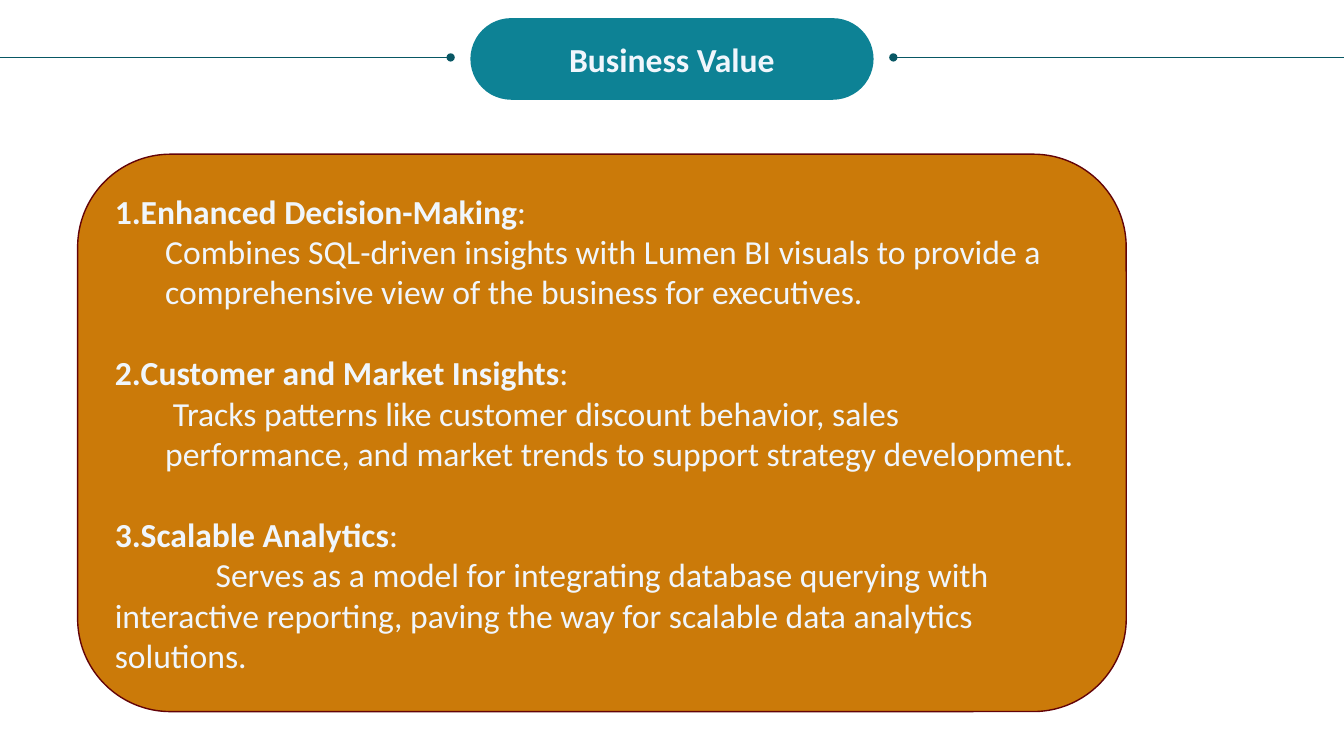
from lxml.etree import SubElement
from pptx import Presentation
from pptx.dml.color import RGBColor
from pptx.enum.shapes import MSO_CONNECTOR, MSO_SHAPE
from pptx.enum.text import MSO_ANCHOR, PP_ALIGN
from pptx.oxml.ns import qn
from pptx.util import Inches, Pt

TEAL, DARK_TEAL = "0D8295", "085764"
ORANGE, MAROON = "CB7A09", "630308"
PALE = "F0F6FC"

# Heading, explanation, left margin and first-line indent in inches
BENEFITS = [
    ("Enhanced Decision-Making",
     "Combines SQL-driven insights with Lumen BI visuals to provide a "
     "comprehensive view of the business for executives.", 0.5, 0),
    ("Customer and Market Insights",
     " Tracks patterns like customer discount behavior, sales performance, "
     "and market trends to support strategy development.", 0.5, 0),
    ("Scalable Analytics",
     "Serves as a model for integrating database querying with interactive "
     "reporting, paving the way for scalable data analytics solutions.", 0, 1),
]


def color(hex_string):
    return RGBColor.from_string(hex_string)


class SlideBuilder:
    """Places elements by percentages of the slide's width and height."""

    font, size, line_height = "Calibri", 24, 29

    def __init__(self, deck):
        self.deck = deck
        self.slide = deck.slides.add_slide(deck.slide_layouts[6])

    def x(self, percent):
        return round(self.deck.slide_width * percent / 100)

    def y(self, percent):
        return round(self.deck.slide_height * percent / 100)

    def rounded_box(self, left, top, width, height, fill, line=None, rounding=None):
        box = self.slide.shapes.add_shape(
            MSO_SHAPE.ROUNDED_RECTANGLE,
            self.x(left), self.y(top), self.x(width), self.y(height))
        box.shadow.inherit = False
        box.fill.solid()
        box.fill.fore_color.rgb = color(fill)
        if line:
            box.line.color.rgb = color(line)
            box.line.width = Pt(1)
        else:
            box.line.fill.background()
        if rounding is not None:
            box.adjustments[0] = rounding
        box.text_frame.word_wrap = True
        box.text_frame.vertical_anchor = MSO_ANCHOR.MIDDLE
        return box

    def dotted_line(self, dot, end, height):
        """Draws a level line with a round dot where it starts."""
        line = self.slide.shapes.add_connector(
            MSO_CONNECTOR.STRAIGHT,
            self.x(dot), self.y(height), self.x(end), self.y(height))
        line.line.color.rgb = color(DARK_TEAL)
        line.line.width = Pt(0.5)
        SubElement(line.line._get_or_add_ln(), qn("a:headEnd"), type="oval")
        SubElement(line._element.spPr, qn("a:effectLst"))

    def paragraph(self, box, runs, align=PP_ALIGN.LEFT):
        """Adds (text, bold) runs, using the empty first paragraph if there is one."""
        frame = box.text_frame
        para = frame.paragraphs[0]
        if para.runs:
            para = frame.add_paragraph()
        para.alignment = align
        for text, bold in runs:
            span = para.add_run()
            span.text = text
            span.font.name = self.font
            span.font.size = Pt(self.size)
            span.font.bold = bold
            span.font.color.rgb = color(PALE)
        return para

    def indent(self, para, margin, first_line):
        properties = para._p.get_or_add_pPr()
        properties.set("marL", str(Inches(margin)))
        properties.set("indent", str(Inches(first_line)))
        return properties

    def benefit(self, box, number, heading, detail, margin, first_line):
        title = self.paragraph(box, [(heading, True), (":", False)])
        if number > 1:
            title.space_before = Pt(self.line_height)
        SubElement(self.indent(title, 0, 0), qn("a:buAutoNum"),
                   type="arabicPeriod", startAt=str(number))
        body = self.paragraph(box, [(detail, False)])
        self.indent(body, margin, first_line)


def main():
    deck = Presentation()
    deck.slide_width, deck.slide_height = Inches(13.33), Inches(7.5)
    builder = SlideBuilder(deck)

    # Title pill between two lines
    builder.dotted_line(66.47, 100, 7.6)
    builder.dotted_line(33.53, 0, 7.6)
    pill = builder.rounded_box(35, 2.4, 30, 10.8, TEAL, rounding=0.5)
    builder.paragraph(pill, [("Business Value", True)], PP_ALIGN.CENTER)

    # Panel of numbered benefits
    panel = builder.rounded_box(5.78, 20.4, 78.02, 73.73, ORANGE, MAROON)
    for number, benefit in enumerate(BENEFITS, 1):
        builder.benefit(panel, number, *benefit)

    deck.save("out.pptx")


if __name__ == "__main__":
    main()
